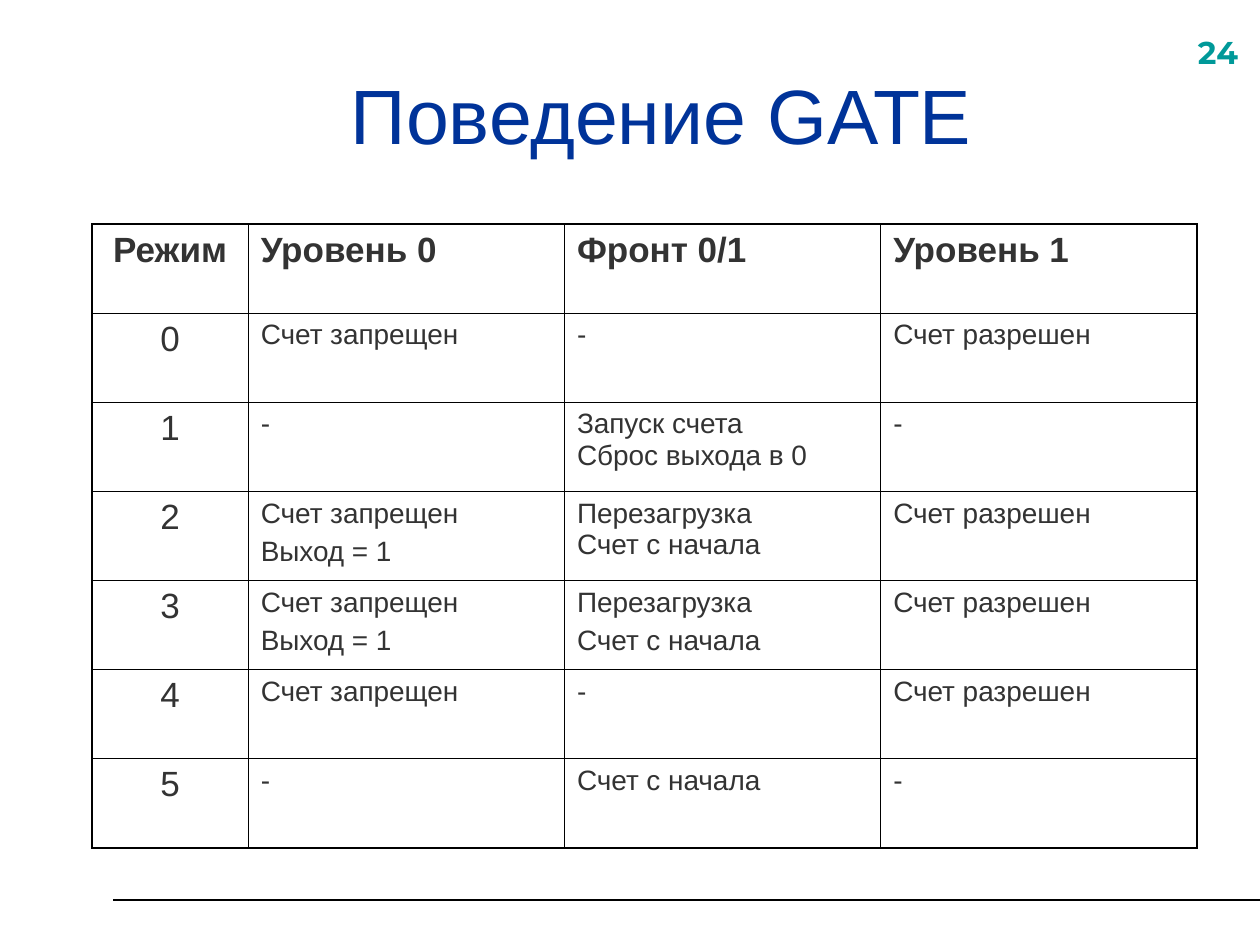
from dataclasses import dataclass

from lxml.etree import SubElement
from pptx import Presentation
from pptx.dml.color import RGBColor
from pptx.enum.shapes import MSO_CONNECTOR as Connector
from pptx.enum.text import MSO_ANCHOR as Anchor, PP_ALIGN as Align
from pptx.oxml.ns import qn
from pptx.util import Inches, Pt


@dataclass(frozen=True)
class Theme:
    font: str = "Arial"
    number_font: str = "Montserrat"
    title_color: str = "003399"
    number_color: str = "009999"
    text_color: str = "333333"
    line_color: str = "000000"
    title_size: int = 44
    number_size: int = 18
    large_size: int = 20
    body_size: int = 16
    rule_width: float = 1.25
    outer_border: float = 1.08
    inner_border: float = 0.45


def set_attributes(target, values):
    for name, value in values.items():
        setattr(target, name, value)


class SlideBuilder:
    def __init__(self, slide, theme):
        self.slide = slide
        self.theme = theme

    def fill_text(self, frame, text, size, color, font=None, bold=False, align=Align.LEFT, space=0):
        frame.text = text
        for paragraph in frame.paragraphs:
            set_attributes(paragraph, {"alignment": align, "space_before": Pt(space)})
            for run in paragraph.runs:
                set_attributes(run.font, {
                    "name": font or self.theme.font, "size": Pt(size), "bold": bold,
                })
                run.font.color.rgb = RGBColor.from_string(color)

    def title(self, text, left, top, width, height):
        shape = self.slide.shapes.title
        set_attributes(shape, {
            "left": Inches(left), "top": Inches(top),
            "width": Inches(width), "height": Inches(height),
        })
        shape.text_frame.vertical_anchor = Anchor.MIDDLE
        self.fill_text(shape.text_frame, text, self.theme.title_size,
                       self.theme.title_color, align=Align.CENTER)

    def page_number(self, text, left, top, width, height):
        shape = self.slide.shapes.add_textbox(
            Inches(left), Inches(top), Inches(width), Inches(height))
        shape.text_frame.word_wrap = True
        self.fill_text(shape.text_frame, text, self.theme.number_size,
                       self.theme.number_color, self.theme.number_font, bold=True)

    def rule(self, left, right, top):
        line = self.slide.shapes.add_connector(
            Connector.STRAIGHT, Inches(left), Inches(top), Inches(right), Inches(top))
        line.line.width = Pt(self.theme.rule_width)
        line.line.color.rgb = RGBColor.from_string(self.theme.line_color)
        SubElement(line._element.spPr, qn("a:effectLst"))

    def border(self, cell, outer_sides):
        properties = cell._tc.get_or_add_tcPr()
        for position, side in enumerate("LRTB"):
            width = self.theme.outer_border if side in outer_sides else self.theme.inner_border
            edge = properties.makeelement(qn(f"a:ln{side}"), {"w": str(Pt(width))})
            fill = SubElement(edge, qn("a:solidFill"))
            SubElement(fill, qn("a:srgbClr"), val=self.theme.line_color)
            properties.insert(position, edge)

    def table(self, rows, left, top, widths, row_height):
        last_row, last_column = len(rows) - 1, len(widths) - 1
        table = self.slide.shapes.add_table(
            len(rows), len(widths), Inches(left), Inches(top),
            Inches(sum(widths)), Inches(row_height * len(rows))).table
        set_attributes(table, {"first_row": False, "horz_banding": False})
        for column, width in zip(table.columns, widths):
            column.width = Inches(width)
        for row_index, texts in enumerate(rows):
            table.rows[row_index].height = Inches(row_height)
            for column_index, text in enumerate(texts):
                cell = table.cell(row_index, column_index)
                cell.fill.background()
                header, mode = row_index == 0, column_index == 0
                large = header or mode
                self.fill_text(cell.text_frame, text,
                               self.theme.large_size if large else self.theme.body_size,
                               self.theme.text_color, bold=header,
                               align=Align.CENTER if mode else Align.LEFT,
                               space=5 if large else 4)
                edges = {"L": mode, "R": column_index == last_column,
                         "T": header, "B": row_index == last_row}
                self.border(cell, [side for side, outer in edges.items() if outer])


ROWS = [
    ("Режим", "Уровень 0", "Фронт 0/1", "Уровень 1"),
    ("0", "Счет запрещен", "-", "Счет разрешен"),
    ("1", "-", "Запуск счета\vСброс выхода в 0", "-"),
    ("2", "Счет запрещен\nВыход = 1", "Перезагрузка\vСчет с начала", "Счет разрешен"),
    ("3", "Счет запрещен\nВыход = 1", "Перезагрузка\nСчет с начала", "Счет разрешен"),
    ("4", "Счет запрещен", "-", "Счет разрешен"),
    ("5", "-", "Счет с начала", "-"),
]


def main():
    presentation = Presentation()
    set_attributes(presentation, {"slide_width": Inches(10), "slide_height": Inches(7.5)})
    slide = presentation.slides.add_slide(presentation.slide_layouts.get_by_name("Title Only"))
    builder = SlideBuilder(slide, Theme())
    builder.rule(0.9, 10, 7.14)
    builder.page_number("24", 9.41, 0.21, 0.63, 0.44)
    builder.title("Поведение GATE", 0.75, 0.28, 9, 1.25)
    builder.table(ROWS, 0.73, 1.78, [1.24] + [2.51] * 3, 4.95 / len(ROWS))
    presentation.save("out.pptx")


if __name__ == "__main__":
    main()
